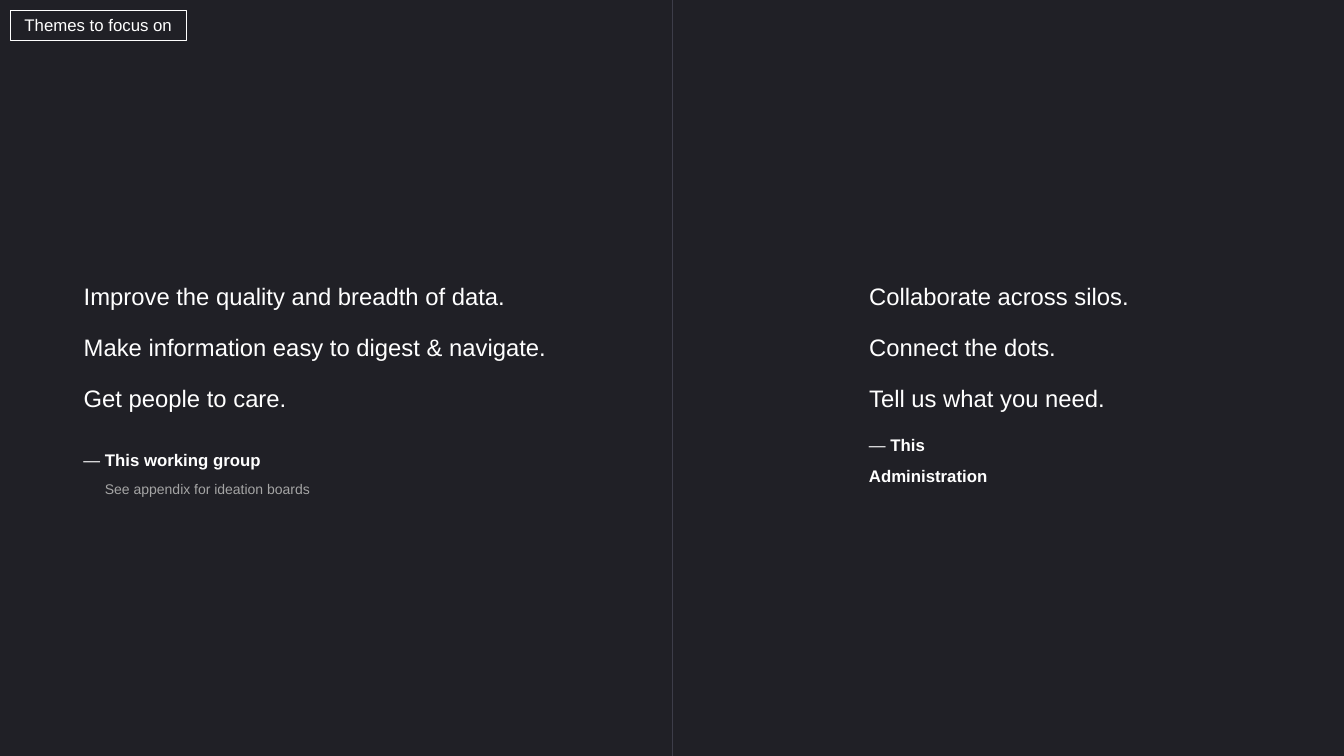
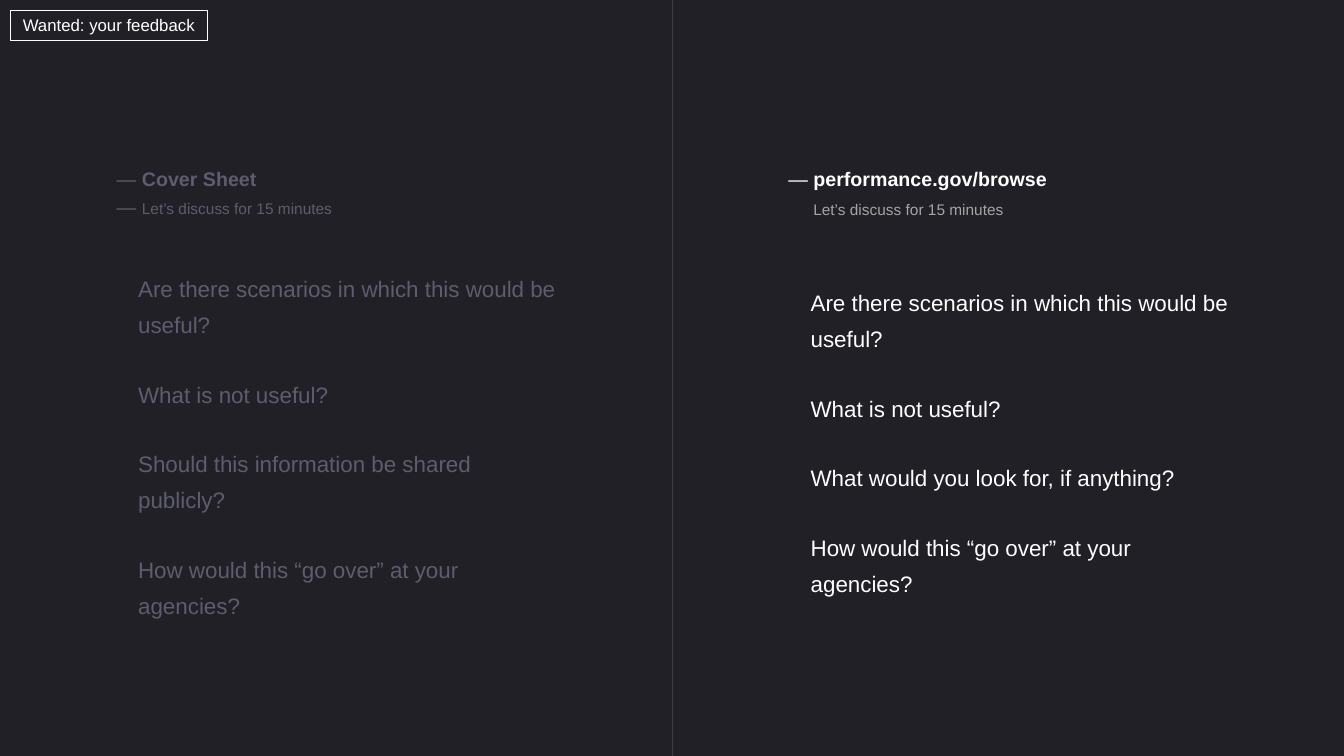
from lxml import etree
from pptx import Presentation
from pptx.dml.color import RGBColor
from pptx.enum.shapes import MSO_CONNECTOR
from pptx.enum.text import MSO_ANCHOR, MSO_AUTO_SIZE, PP_ALIGN
from pptx.oxml.ns import qn
from pptx.util import Inches, Pt

STRAIGHT = MSO_CONNECTOR.STRAIGHT
TOP, MIDDLE = MSO_ANCHOR.TOP, MSO_ANCHOR.MIDDLE
CENTER, LEFT = PP_ALIGN.CENTER, PP_ALIGN.LEFT
NO_AUTOSIZE = MSO_AUTO_SIZE.NONE

FONT = "Arial"
COLORS = {"ground": "202026", "divider": "3D3D49", "bright": "FFFFFF",
          "soft": "A5A5A5", "muted": "5D5D6F"}
WIDTH, HEIGHT = 13.33, 7.5
TAG = {"left": 0.1, "top": 0.1, "height": 0.3, "size": 12}
DASH = "— "
DASH_EM = 1.278  # width of the dash and its space, in ems

# Text sizes, line spacing and gaps in points; places in inches
STATEMENTS = {"size": 17, "line": 1.5, "gap": 6}
QUESTIONS = {"size": 16, "line": 1.34, "gap": 24}
DISCUSS = "Let’s discuss for 15 minutes"
SCENARIOS = "Are there scenarios in which this would be useful?"
NOT_USEFUL = "What is not useful?"
GO_OVER = "How would this “go over” at your agencies?"

SLIDES = [
    {"tag": "Themes to focus on", "tag_width": 1.75, "list": STATEMENTS,
     "columns": [
         {"color": "bright", "at": (0.73, 2.6, 5.21, 1.6),
          "items": ["Improve the quality and breadth of data.",
                    "Make information easy to digest & navigate.",
                    "Get people to care."],
          "source": {"at": (0.73, 4.39, 3.2, 0.6), "size": 12, "pitch": 19.5,
                     "name": "This working group",
                     "note": "See appendix for ideation boards",
                     "note_size": 10, "note_color": "soft"}},
         {"color": "bright", "at": (8.52, 2.6, 2.95, 1.6),
          "items": ["Collaborate across silos.", "Connect the dots.",
                    "Tell us what you need."],
          "source": {"at": (8.52, 4.2, 1.82, 0.65), "size": 12, "pitch": 22.3,
                     "name": "This Administration"}},
     ]},
    {"tag": "Wanted: your feedback", "tag_width": 1.96, "list": QUESTIONS,
     "columns": [
         {"color": "muted", "at": (1.27, 2.59, 4.34, 3.6),
          "items": [SCENARIOS, NOT_USEFUL,
                    "Should this information be shared publicly?", GO_OVER],
          "source": {"at": (1.06, 1.61, 3.2, 0.6), "size": 14, "pitch": 20.2,
                     "name": "Cover Sheet", "note": DISCUSS, "note_size": 11,
                     "note_color": "muted", "note_dash": True}},
         {"color": "bright", "at": (7.94, 2.73, 4.34, 3.6),
          "items": [SCENARIOS, NOT_USEFUL,
                    "What would you look for, if anything?", GO_OVER],
          "source": {"at": (7.72, 1.61, 3.2, 0.6), "size": 14, "pitch": 20.2,
                     "name": "performance.gov/browse", "note": DISCUSS,
                     "note_size": 11, "note_color": "soft"}},
     ]},
]


def rgb(color):
    return RGBColor.from_string(COLORS[color])


def place(shape, left, top, width, height):
    shape.left, shape.top = Inches(left), Inches(top)
    shape.width, shape.height = Inches(width), Inches(height)


def set_frame(frame, **values):
    frame.auto_size = NO_AUTOSIZE
    frame.word_wrap = True
    for name, value in values.items():
        setattr(frame, name, value)


def add_run(paragraph, text, size, color, bold=False):
    run = paragraph.add_run()
    run.text = text
    values = {"name": FONT, "size": Pt(size), "bold": bold}
    for name, value in values.items():
        setattr(run.font, name, value)
    run.font.color.rgb = rgb(color)


def add_paragraph(frame, first, **values):
    paragraph = frame.paragraphs[0] if first else frame.add_paragraph()
    for name, value in values.items():
        setattr(paragraph, name, value)
    return paragraph


def set_indent(paragraph, left):
    """Set the left margin in points, with no bullet and no hanging line."""
    properties = paragraph._p.get_or_add_pPr()
    properties.set("marL", str(Pt(left)))
    properties.set("indent", "0")
    etree.SubElement(properties, qn("a:buNone"))


def add_divider(slide):
    middle = Inches(WIDTH / 2)
    divider = slide.shapes.add_connector(STRAIGHT, middle, 0, middle, Inches(HEIGHT))
    divider.line.color.rgb = rgb("divider")
    divider.line.width = Pt(0.5)
    etree.SubElement(divider._element.spPr, qn("a:effectLst"))


def fill_tag(title, text, width):
    place(title, TAG["left"], TAG["top"], width, TAG["height"])
    title.fill.solid()
    title.fill.fore_color.rgb = rgb("ground")
    title.line.color.rgb = rgb("bright")
    title.line.width = Pt(0.75)
    set_frame(title.text_frame, vertical_anchor=MIDDLE, margin_left=Inches(0.05),
              margin_right=Inches(0.05), margin_top=0, margin_bottom=0)
    paragraph = add_paragraph(title.text_frame, True, alignment=CENTER)
    add_run(paragraph, text, TAG["size"], "bright")


def fill_list(body, column, style):
    place(body, *column["at"])
    set_frame(body.text_frame, vertical_anchor=TOP)
    for index, item in enumerate(column["items"]):
        paragraph = add_paragraph(
            body.text_frame, index == 0, alignment=LEFT, line_spacing=style["line"],
            space_before=Pt(0), space_after=Pt(style["gap"]))
        set_indent(paragraph, 0)
        add_run(paragraph, item, style["size"], column["color"])


def add_source(slide, source, color):
    """Add the dashed name that a list belongs to, with its note below."""
    box = slide.shapes.add_textbox(*map(Inches, source["at"]))
    frame, size, pitch = box.text_frame, source["size"], Pt(source["pitch"])
    set_frame(frame, vertical_anchor=TOP, margin_top=0, margin_bottom=0)
    name = add_paragraph(frame, True, line_spacing=pitch)
    add_run(name, DASH, size, color)
    add_run(name, source["name"], size, color, bold=True)
    if "note" in source:
        note = add_paragraph(frame, False, line_spacing=pitch)
        if source.get("note_dash"):
            add_run(note, DASH, size, color)
        else:
            set_indent(note, size * DASH_EM)
        add_run(note, source["note"], source["note_size"], source["note_color"])


def main():
    prs = Presentation()
    prs.slide_width, prs.slide_height = Inches(WIDTH), Inches(HEIGHT)
    ground = prs.slide_master.background.fill
    ground.solid()
    ground.fore_color.rgb = rgb("ground")
    two_content = prs.slide_layouts.get_by_name("Two Content")

    for content in SLIDES:
        slide = prs.slides.add_slide(two_content)
        title, *bodies = slide.placeholders
        add_divider(slide)
        fill_tag(title, content["tag"], content["tag_width"])
        for body, column in zip(bodies, content["columns"]):
            fill_list(body, column, content["list"])
            add_source(slide, column["source"], column["color"])

    prs.save("out.pptx")


if __name__ == "__main__":
    main()
